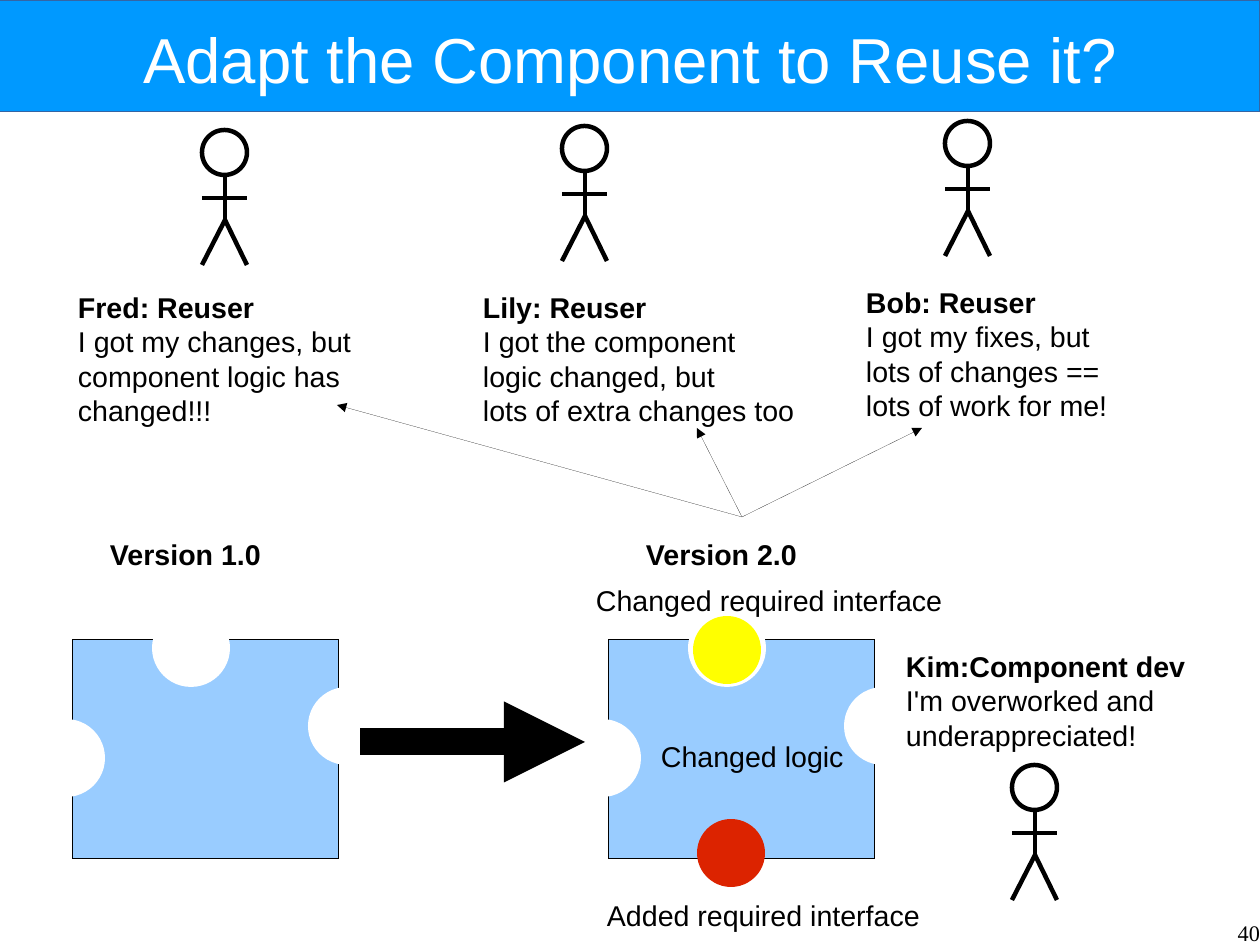
import pptx
import pptx.dml.color
import pptx.enum.shapes
import pptx.enum.text
import pptx.oxml
import pptx.oxml.ns
import pptx.util

PX = 8000
RGBColor = pptx.dml.color.RGBColor
BLACK = RGBColor(0x00, 0x00, 0x00)
WHITE = RGBColor(0xFF, 0xFF, 0xFF)
BANNER_BLUE = RGBColor(0x00, 0x99, 0xFF)
BANNER_EDGE = RGBColor(0x34, 0x65, 0xA4)
COMPONENT_BLUE = RGBColor(0x99, 0xCC, 0xFF)
ADDED_RED = RGBColor(0xDC, 0x23, 0x00)
CHANGED_YELLOW = RGBColor(0xFF, 0xFF, 0x00)
RECTANGLE = pptx.enum.shapes.MSO_SHAPE.RECTANGLE
OVAL = pptx.enum.shapes.MSO_SHAPE.OVAL
ALIGN = pptx.enum.text.PP_ALIGN
ANCHOR = pptx.enum.text.MSO_ANCHOR
AUTO_SIZE = pptx.enum.text.MSO_AUTO_SIZE

SLIDE_WIDTH, SLIDE_HEIGHT = 1260, 945
NOTCH, SPOT = 78, 68
COMPONENT_WIDTH, COMPONENT_HEIGHT = 266, 219
NOTCH_OFFSETS = [(79, -31), (-46, 79), (235, 47)]
FIGURE_LINE = 2.83

REUSERS = [
    ((202, 130), (67, 284, 296, 141),
     ["Fred: Reuser", "I got my changes, but", "component logic has", "changed!!!"], (337, 405)),
    ((562, 126), (472, 284, 335, 141),
     ["Lily: Reuser", "I got the component", "logic changed, but", "lots of extra changes too"], (697, 428)),
    ((945, 121), (855, 279, 264, 141),
     ["Bob: Reuser", "I got my fixes, but", "lots of changes ==", "lots of work for me!"], (922, 428)),
]


def style_line(line, color, weight):
    """Give a line its colour and width, writing out a hairline's zero."""
    line.color.rgb = color
    line._get_or_add_ln().set("w", str(int(pptx.util.Pt(weight))))


def add_part(shapes, preset, box, fill, edge=None, weight=0):
    """Add a filled preset shape, outlined if an edge colour is given."""
    part = shapes.add_shape(preset, *[length * PX for length in box])
    part.shadow.inherit = False
    part.fill.solid()
    part.fill.fore_color.rgb = fill
    if edge is None:
        part.line.fill.background()
    else:
        style_line(part.line, edge, weight)


def add_stroke(shapes, start, end, weight, arrow=False):
    """Add a straight black line, with an arrowhead at its end if asked."""
    stroke = shapes.add_connector(pptx.enum.shapes.MSO_CONNECTOR.STRAIGHT,
                                  *[length * PX for length in (*start, *end)])
    style_line(stroke.line, BLACK, weight)
    if arrow:
        head = pptx.oxml.parse_xml(
            '<a:tailEnd %s type="triangle"/>' % pptx.oxml.ns.nsdecls("a"))
        stroke.line._get_or_add_ln().append(head)
    effects = pptx.oxml.parse_xml("<a:effectLst %s/>" % pptx.oxml.ns.nsdecls("a"))
    stroke._element.spPr.append(effects)


def add_text(shapes, box, lines, bold_first=False, size=18, font="Arial", color=BLACK,
             align=ALIGN.LEFT, inset=(11, 6), wrap=False, anchor=ANCHOR.TOP,
             auto_size=AUTO_SIZE.SHAPE_TO_FIT_TEXT):
    """Add a text box with one paragraph per line."""
    frame = shapes.add_textbox(*[length * PX for length in box]).text_frame
    frame.word_wrap = wrap
    frame.auto_size = auto_size
    frame.vertical_anchor = anchor
    frame.margin_left = frame.margin_right = inset[0] * PX
    frame.margin_top = frame.margin_bottom = inset[1] * PX
    frame.text = "\n".join(lines)
    for index, paragraph in enumerate(frame.paragraphs):
        paragraph.alignment = align
        for run in paragraph.runs:
            run.font.name = font
            run.font.size = pptx.util.Pt(size)
            run.font.bold = bold_first and index == 0
            run.font.color.rgb = color


def add_banner(slide, box):
    """Draw the title band across the top."""
    left, top, width, height = box
    add_part(slide.shapes, RECTANGLE, box, BANNER_BLUE, BANNER_EDGE)
    add_text(slide.shapes, (left + 63, top + 10, width - 126, height - 15),
             ["Adapt the Component to Reuse it?"], size=40, color=WHITE,
             align=ALIGN.CENTER, inset=(0, 0), wrap=True, anchor=ANCHOR.MIDDLE,
             auto_size=AUTO_SIZE.NONE)


def add_figure(slide, left, top):
    """Draw a stick figure from its top left corner."""
    figure = slide.shapes.add_group_shape().shapes
    middle, right = left + 23, left + 45
    neck, arms, hip, feet = top + 45, top + 68, top + 90, top + 135
    add_part(figure, OVAL, (left, top, 45, 45), WHITE, BLACK, FIGURE_LINE)
    for start, end in [((middle, neck), (middle, hip)),
                       ((left, feet), (middle, hip)),
                       ((right, feet), (middle, hip)),
                       ((left, arms), (right, arms))]:
        add_stroke(figure, start, end, FIGURE_LINE)


def add_component(slide, left, top, version):
    """Draw a component with its three notches and its version heading."""
    component = slide.shapes.add_group_shape().shapes
    add_part(component, RECTANGLE, (left, top, COMPONENT_WIDTH, COMPONENT_HEIGHT),
             COMPONENT_BLUE, BLACK)
    for across, down in NOTCH_OFFSETS:
        add_part(component, OVAL, (left + across, top + down, NOTCH, NOTCH), WHITE)
    add_text(slide.shapes, (left + 26, top - 109, 175, 45), [version], bold_first=True)


def add_changes(slide, left, top):
    """Mark what changed on the component at the given corner."""
    add_part(slide.shapes, OVAL, (left + 88, top + 179, SPOT, SPOT), ADDED_RED)
    add_part(slide.shapes, OVAL, (left + 84, top - 24, SPOT, SPOT), CHANGED_YELLOW)
    for across, down, width, label in [(-13, 252, 336, "Added required interface"),
                                       (-24, -63, 369, "Changed required interface"),
                                       (41, 93, 206, "Changed logic")]:
        add_text(slide.shapes, (left + across, top + down, width, 43), [label])


def add_reusers(slide, source):
    """Draw each reuser with a comment and an arrow from the new version."""
    for corner, comment_box, comment, target in REUSERS:
        add_figure(slide, *corner)
        add_text(slide.shapes, comment_box, comment, bold_first=True)
        add_stroke(slide.shapes, source, target, 0, arrow=True)


def add_developer(slide, left, top):
    """Draw the component developer below her comment."""
    add_text(slide.shapes, (left, top, 365, 109),
             ["Kim:Component dev", "I'm overworked and", "underappreciated!"],
             bold_first=True, wrap=True)
    add_figure(slide, left + 117, top + 122)


def main():
    """Build the slide and save it."""
    deck = pptx.Presentation()
    deck.slide_width = SLIDE_WIDTH * PX
    deck.slide_height = SLIDE_HEIGHT * PX
    slide = deck.slides.add_slide(deck.slide_layouts[6])
    add_banner(slide, (0, 0, SLIDE_WIDTH, 112))
    add_component(slide, 73, 640, "Version 1.0")
    add_component(slide, 609, 640, "Version 2.0")
    add_changes(slide, 609, 640)
    add_stroke(slide.shapes, (360, 742), (585, 742), 17, arrow=True)
    add_reusers(slide, (742, 517))
    add_developer(slide, 895, 643)
    add_text(slide.shapes, (966, 919, 294, 26), ["40"], size=14, font="Times New Roman",
             align=ALIGN.RIGHT, inset=(0, 0), wrap=True, auto_size=AUTO_SIZE.NONE)
    deck.save("out.pptx")


if __name__ == "__main__":
    main()
